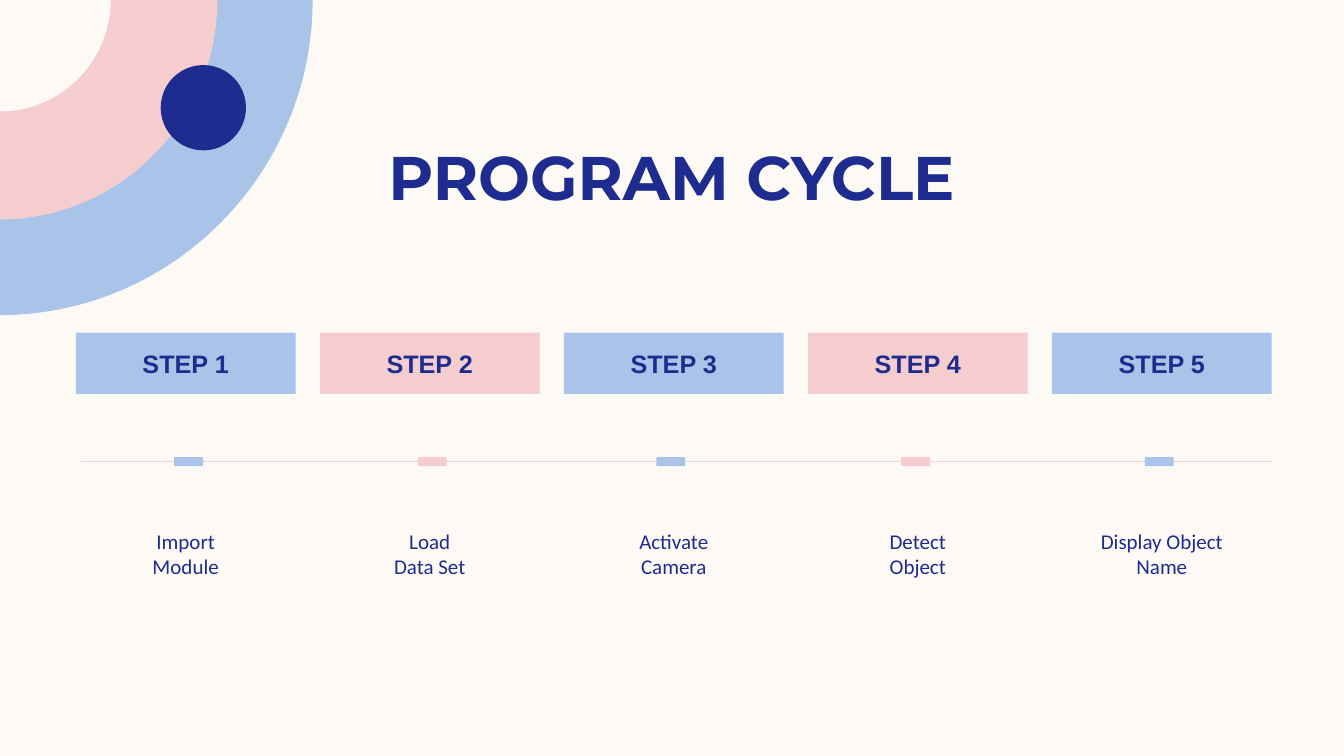
from lxml.etree import SubElement
from pptx import Presentation
from pptx.dml.color import RGBColor
from pptx.enum.shapes import MSO_CONNECTOR, MSO_SHAPE
from pptx.enum.text import MSO_ANCHOR as ANCHOR, PP_ALIGN as ALIGN
from pptx.oxml.ns import qn
from pptx.util import Cm, Pt

CREAM = RGBColor(0xFD, 0xFA, 0xF6)
BLUE = RGBColor(0xAA, 0xC3, 0xE8)
PINK = RGBColor(0xF5, 0xCD, 0xCE)
NAVY = RGBColor(0x1F, 0x2C, 0x8F)
LINE = RGBColor(0xF2, 0xD1, 0xD1)

STEPS = [
    ("Import\nModule", 4.39),
    ("Load\nData Set", 10.53),
    ("Activate\nCamera", 16.54),
    ("Detect\nObject", 22.71),
    ("Display Object\nName", 28.85),
]
LEFT, PITCH, WIDTH = 1.91, 6.15, 5.54
BEZIER = 0.55


def write(tf, text, font, size, bold=False, anchor=ANCHOR.TOP, inset_x=0, inset_y=0):
    tf.word_wrap = True
    tf.vertical_anchor = anchor
    tf.margin_left = tf.margin_right = Cm(inset_x)
    tf.margin_top = tf.margin_bottom = Cm(inset_y)
    for i, line in enumerate(text.split("\n")):
        p = tf.add_paragraph() if i else tf.paragraphs[0]
        p.alignment = ALIGN.CENTER
        r = p.add_run()
        r.text = line
        r.font.name = font
        r.font.size = Pt(size)
        r.font.bold = bold
        r.font.color.rgb = NAVY


class Deck:
    def __init__(self, prs):
        self.s = prs.slides.add_slide(prs.slide_layouts[5])
        self.s.background.fill.solid()
        self.s.background.fill.fore_color.rgb = CREAM

    def paint(self, sp, color):
        sp.shadow.inherit = False
        sp.fill.solid()
        sp.fill.fore_color.rgb = color
        sp.line.fill.background()
        return sp

    def title(self, text, x, y, w, h):
        sp = self.s.shapes.title
        sp.left, sp.top, sp.width, sp.height = Cm(x), Cm(y), Cm(w), Cm(h)
        write(sp.text_frame, text, "Montserrat", 44, bold=True,
              anchor=ANCHOR.MIDDLE, inset_x=0.25, inset_y=0.13)

    def shape(self, kind, x, y, w, h, color):
        sp = self.s.shapes.add_shape(kind, Cm(x), Cm(y), Cm(w), Cm(h))
        return self.paint(sp, color)

    def quarter(self, rx, ry, color):
        corners = [(rx, 0), (rx, ry * BEZIER), (rx * BEZIER, ry), (0, ry)]
        fb = self.s.shapes.build_freeform(0, 0)
        fb.add_line_segments([(Cm(x), Cm(y)) for x, y in corners], close=True)
        sp = self.paint(fb.convert_to_shape(), color)
        controls = list(sp._element.iter(qn("a:lnTo")))[1:4]
        curve = controls[0]
        curve.tag = qn("a:cubicBezTo")
        for segment in controls[1:]:
            curve.append(segment[0])
            segment.getparent().remove(segment)

    def line(self, x1, x2, y):
        c = self.s.shapes.add_connector(MSO_CONNECTOR.STRAIGHT, Cm(x1), Cm(y), Cm(x2), Cm(y))
        c.line.color.rgb = LINE
        c.line.width = Pt(1)
        SubElement(c._element.spPr, qn("a:effectLst"))

    def text(self, text, x, y, w, h):
        sp = self.s.shapes.add_textbox(Cm(x), Cm(y), Cm(w), Cm(h))
        write(sp.text_frame, text, "Calibri", 15, inset_y=0.13)


def main():
    prs = Presentation()
    prs.slide_width, prs.slide_height = Cm(33.87), Cm(19.05)
    deck = Deck(prs)

    for rx, ry, color in [(7.88, 7.94, BLUE), (5.48, 5.53, PINK), (2.79, 2.81, CREAM)]:
        deck.quarter(rx, ry, color)
    deck.shape(MSO_SHAPE.OVAL, 4.05, 1.64, 2.15, 2.15, NAVY)
    deck.title("PROGRAM CYCLE", 2.11, 3.36, 29.64, 2.13)
    deck.line(2.05, 32.08, 11.63)

    for i, (label, marker_x) in enumerate(STEPS):
        x = LEFT + i * PITCH
        color = PINK if i % 2 else BLUE
        box = deck.shape(MSO_SHAPE.RECTANGLE, x, 8.38, WIDTH, 1.55, color)
        write(box.text_frame, f"STEP {i + 1}", "Arial", 18, bold=True, anchor=ANCHOR.MIDDLE)
        deck.shape(MSO_SHAPE.RECTANGLE, marker_x, 11.52, 0.73, 0.23, color)
        deck.text(label, x, 13.18, WIDTH, 2.21)

    prs.save("out.pptx")


if __name__ == "__main__":
    main()
